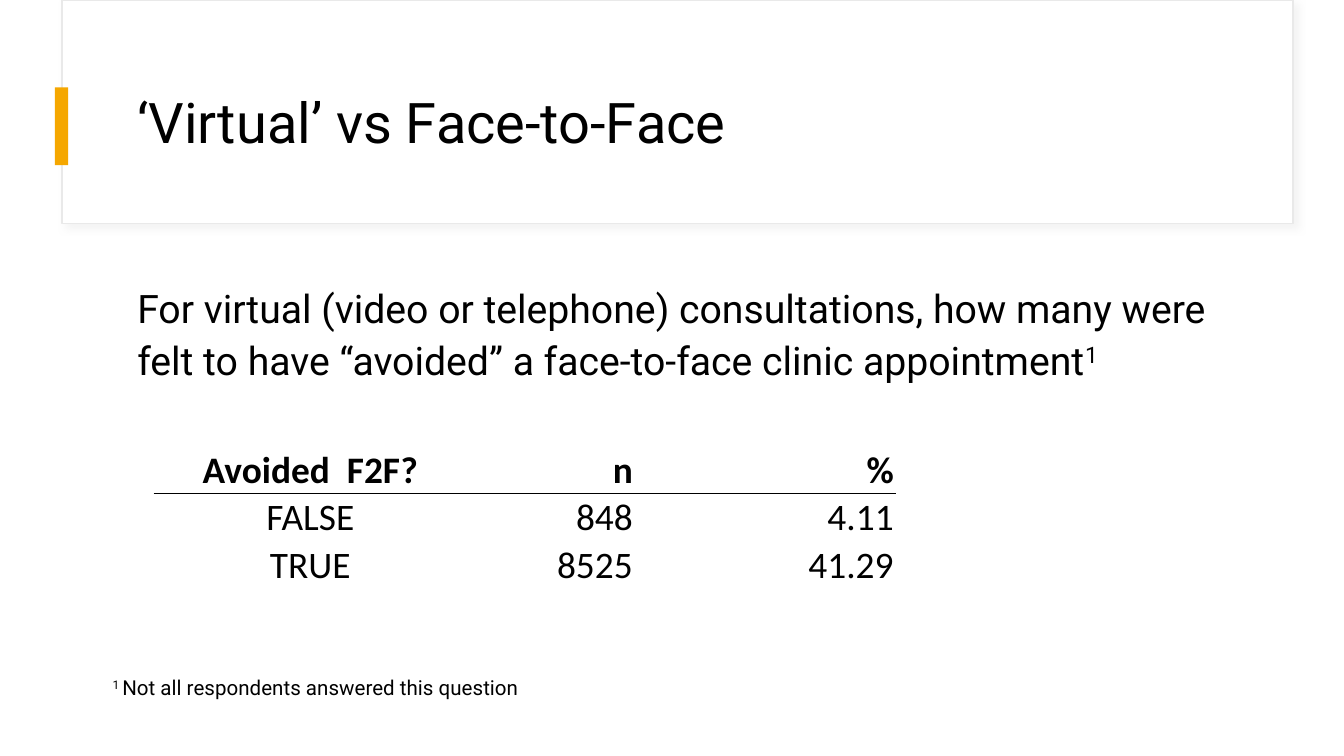
from lxml.etree import SubElement
from pptx import Presentation
from pptx.dml.color import RGBColor
from pptx.enum.shapes import MSO_SHAPE
from pptx.enum.text import MSO_ANCHOR, MSO_AUTO_SIZE, PP_ALIGN
from pptx.oxml import parse_xml
from pptx.oxml.ns import nsdecls, qn
from pptx.util import Cm, Pt

COLORS = {"white": "FFFFFF", "outline": "E9E9E9", "shadow": "D9D9D9",
          "accent": "F5A700", "text": "000000"}
ROWS = [("Avoided  F2F?", "n", "%"),
        ("FALSE", "848", "4.11"),
        ("TRUE", "8525", "41.29"),
        ("", "", "")]
COL_WIDTHS = (5.89, 3.18, 4.93)
ROW_HEIGHT = 0.89


def rgb(name):
    """Return the named colour."""
    return RGBColor.from_string(COLORS[name])


def add_run(p, text, size, font="Roboto", bold=False, superscript=False):
    """Append one formatted run to a paragraph."""
    r = p.add_run()
    r.text = text
    r.font.size, r.font.name, r.font.bold = Pt(size), font, bold
    r.font.color.rgb = rgb("text")
    if superscript:
        r.font._element.set("baseline", "30000")


def place(sp, left, top, width, height):
    """Position a shape in centimetres."""
    sp.left, sp.top, sp.width, sp.height = map(Cm, (left, top, width, height))


def add_rect(s, index, box, fill, line=None):
    """Add a rectangle behind the placeholders."""
    sp = s.shapes.add_shape(MSO_SHAPE.RECTANGLE, *map(Cm, box))
    sp.shadow.inherit = False
    sp.fill.solid()
    sp.fill.fore_color.rgb = rgb(fill)
    if line:
        sp.line.color.rgb = rgb(line)
        sp.line.width = Pt(0.75)
    else:
        sp.line.fill.background()
    s.shapes._spTree.insert(2 + index, sp._element)
    return sp


def add_shadow(sp):
    """Give a shape a soft shadow to the lower right."""
    effects = sp._element.spPr.find(qn("a:effectLst"))
    effects.append(parse_xml(
        f'<a:outerShdw {nsdecls("a")} blurRad="{Pt(4)}" dist="{Pt(3)}" dir="2700000" '
        f'algn="tl" rotWithShape="0"><a:srgbClr val="{COLORS["shadow"]}">'
        '<a:alpha val="30000"/></a:srgbClr></a:outerShdw>'))


def fill_title(sp):
    """Format the title placeholder."""
    place(sp, 2.34, 1.14, 21.18, 2.46)
    tf = sp.text_frame
    tf.vertical_anchor = MSO_ANCHOR.MIDDLE
    tf.auto_size = MSO_AUTO_SIZE.NONE
    p = tf.paragraphs[0]
    p.alignment, p.line_spacing = PP_ALIGN.LEFT, 0.9
    add_run(p, "‘Virtual’ vs Face-to-Face", 30)


def fill_body(sp):
    """Format the body placeholder without a bullet."""
    place(sp, 2.34, 5.16, 21.18, 7.7)
    tf = sp.text_frame
    tf.auto_size = MSO_AUTO_SIZE.NONE
    p = tf.paragraphs[0]
    p.line_spacing, p.space_before = 1.1, Pt(7.5)
    pPr = p._p.get_or_add_pPr()
    pPr.set("marL", "0")
    pPr.set("indent", "0")
    SubElement(pPr, qn("a:buNone"))
    add_run(p, "For virtual (video or telephone) consultations, how many were "
               "felt to have “avoided” a face-to-face clinic appointment", 21)
    add_run(p, "1", 21, superscript=True)


def add_border(cell, side):
    """Draw a thin line on one side of a cell."""
    cell._tc.get_or_add_tcPr().insert(0, parse_xml(
        f'<a:{side} {nsdecls("a")} w="{Pt(0.5)}"><a:solidFill>'
        f'<a:srgbClr val="{COLORS["text"]}"/></a:solidFill></a:{side}>'))


def fill_cell(cell, text, bold, align):
    """Write one table cell."""
    cell.fill.background()
    cell.vertical_anchor = MSO_ANCHOR.BOTTOM
    cell.margin_left = cell.margin_right = cell.margin_top = Cm(0.03)
    cell.margin_bottom = 0
    p = cell.text_frame.paragraphs[0]
    p.alignment = align
    if text:
        add_run(p, text, 20, "Calibri", bold)


def add_results(s):
    """Add the results table with a rule below its header."""
    table = s.shapes.add_table(
        len(ROWS), len(COL_WIDTHS), Cm(2.92), Cm(8.43),
        Cm(sum(COL_WIDTHS)), Cm(ROW_HEIGHT * len(ROWS))).table
    table.first_row = table.horz_banding = False
    for col, width in zip(table.columns, COL_WIDTHS):
        col.width = Cm(width)
    for i, values in enumerate(ROWS):
        table.rows[i].height = Cm(ROW_HEIGHT)
        for j, text in enumerate(values):
            cell = table.cell(i, j)
            fill_cell(cell, text, i == 0, PP_ALIGN.RIGHT if j else PP_ALIGN.CENTER)
            if i < 2:
                add_border(cell, "lnT" if i else "lnB")


def add_footnote(s):
    """Add the footnote text box."""
    sp = s.shapes.add_textbox(Cm(1.88), Cm(12.62), Cm(8.41), Cm(0.74))
    tf = sp.text_frame
    tf.word_wrap = False
    tf.auto_size = MSO_AUTO_SIZE.SHAPE_TO_FIT_TEXT
    p = tf.paragraphs[0]
    add_run(p, "1 ", 11, superscript=True)
    add_run(p, "Not all respondents answered this question", 11)


def main():
    """Build and save the slide."""
    prs = Presentation()
    prs.slide_width, prs.slide_height = Cm(25.4), Cm(14.28)
    s = prs.slides.add_slide(prs.slide_layouts[1])
    card = add_rect(s, 0, (1.17, 0, 23.27, 4.22), "white", "outline")
    add_shadow(card)
    add_rect(s, 1, (1.04, 1.65, 0.25, 1.47), "accent")
    fill_title(s.shapes.title)
    fill_body(s.placeholders[1])
    add_results(s)
    add_footnote(s)
    prs.save("out.pptx")


if __name__ == "__main__":
    main()
